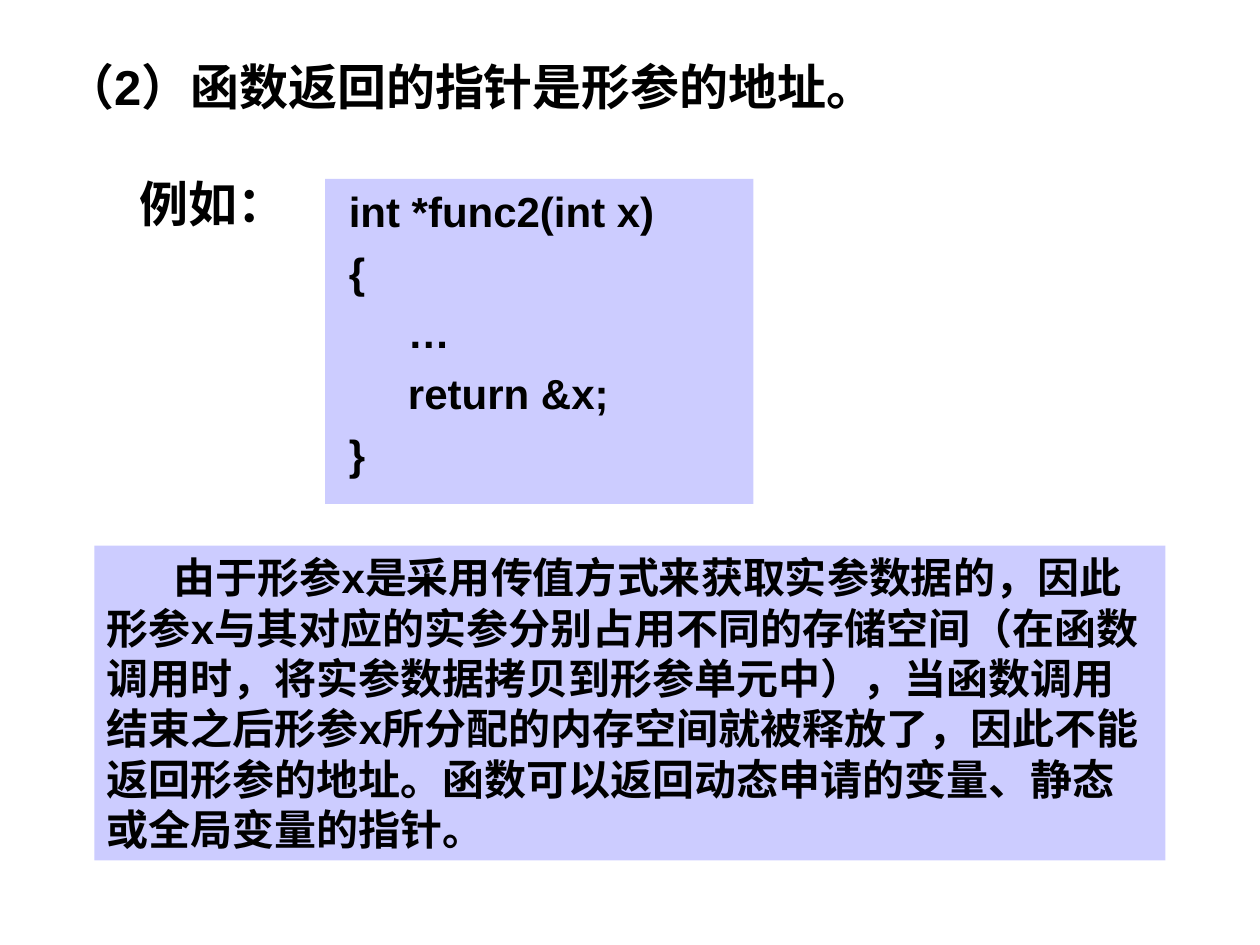
"""Build a slide on why a function must not return the address of its parameter."""
from dataclasses import dataclass

from pptx import Presentation
from pptx.dml.color import RGBColor
from pptx.enum import shapes, text
from pptx.slide import Slide
from pptx.util import Inches, Pt


@dataclass(frozen=True)
class Theme:
    font: str = "Arial"
    ink: RGBColor = RGBColor(0, 0, 0)
    panel: RGBColor = RGBColor(0xCC, 0xCC, 0xFF)
    head: int = 28
    body: int = 24


@dataclass(frozen=True)
class Line:
    words: str
    left: float = 0
    first: float = 0


@dataclass(frozen=True)
class Block:
    left: float
    top: float
    width: float
    height: float
    lines: tuple[Line, ...]
    size: int
    gap: int = 0
    filled: bool = False
    wrap: bool = True
    middle: bool = False


THEME = Theme()
BRACE, INNER = 0.09, 0.56
CODE = (
    Line("int *func2(int x)", BRACE),
    Line("{", BRACE),
    Line("…", INNER),
    Line("return &x;", INNER),
    Line("}", BRACE),
)
REASON = Line(
    "由于形参x是采用传值方式来获取实参数据的，因此形参x与其对应的实参分别占用不同的存储空间"
    "（在函数调用时，将实参数据拷贝到形参单元中），当函数调用结束之后形参x所分配的内存空间"
    "就被释放了，因此不能返回形参的地址。函数可以返回动态申请的变量、静态或全局变量的指针。",
    first=0.53,
)
BLOCKS = (
    Block(0.42, 0.33, 8.33, 0.7, (Line("（2）函数返回的指针是形参的地址。"),),
          THEME.head, middle=True),
    Block(2.58, 1.42, 3.4, 2.58, CODE, THEME.body, gap=6, filled=True),
    Block(0.75, 4.33, 8.5, 2.5, (REASON,), THEME.body, gap=15, filled=True),
    Block(1.01, 1.33, 1.36, 0.57, (Line("例如："),), THEME.head, wrap=False),
)


def draw(slide: Slide, block: Block) -> None:
    """Draw one text block, on a filled panel when asked."""
    place = [Inches(n) for n in (block.left, block.top, block.width, block.height)]
    if block.filled:
        shape = slide.shapes.add_shape(shapes.MSO_SHAPE.RECTANGLE, *place)
        shape.shadow.inherit = False
        shape.fill.solid()
        shape.fill.fore_color.rgb = THEME.panel
        shape.line.fill.background()
    else:
        shape = slide.shapes.add_textbox(*place)
    frame = shape.text_frame
    frame.word_wrap = block.wrap
    frame.vertical_anchor = text.MSO_ANCHOR.MIDDLE if block.middle else text.MSO_ANCHOR.TOP
    frame.text = "\n".join(line.words for line in block.lines)
    for para, line in zip(frame.paragraphs, block.lines):
        para.alignment = text.PP_ALIGN.LEFT
        para.space_before = Pt(block.gap)
        props = para._p.get_or_add_pPr()
        props.set("marL", str(Inches(line.left)))
        props.set("indent", str(Inches(line.first)))
        for run in para.runs:
            run.font.name = THEME.font
            run.font.size = Pt(block.size)
            run.font.bold = True
            run.font.color.rgb = THEME.ink


def main() -> None:
    """Build and save the deck."""
    deck = Presentation()
    deck.slide_width, deck.slide_height = Inches(10), Inches(7.5)
    slide = deck.slides.add_slide(deck.slide_layouts[6])
    for block in BLOCKS:
        draw(slide, block)
    deck.save("out.pptx")


if __name__ == "__main__":
    main()
